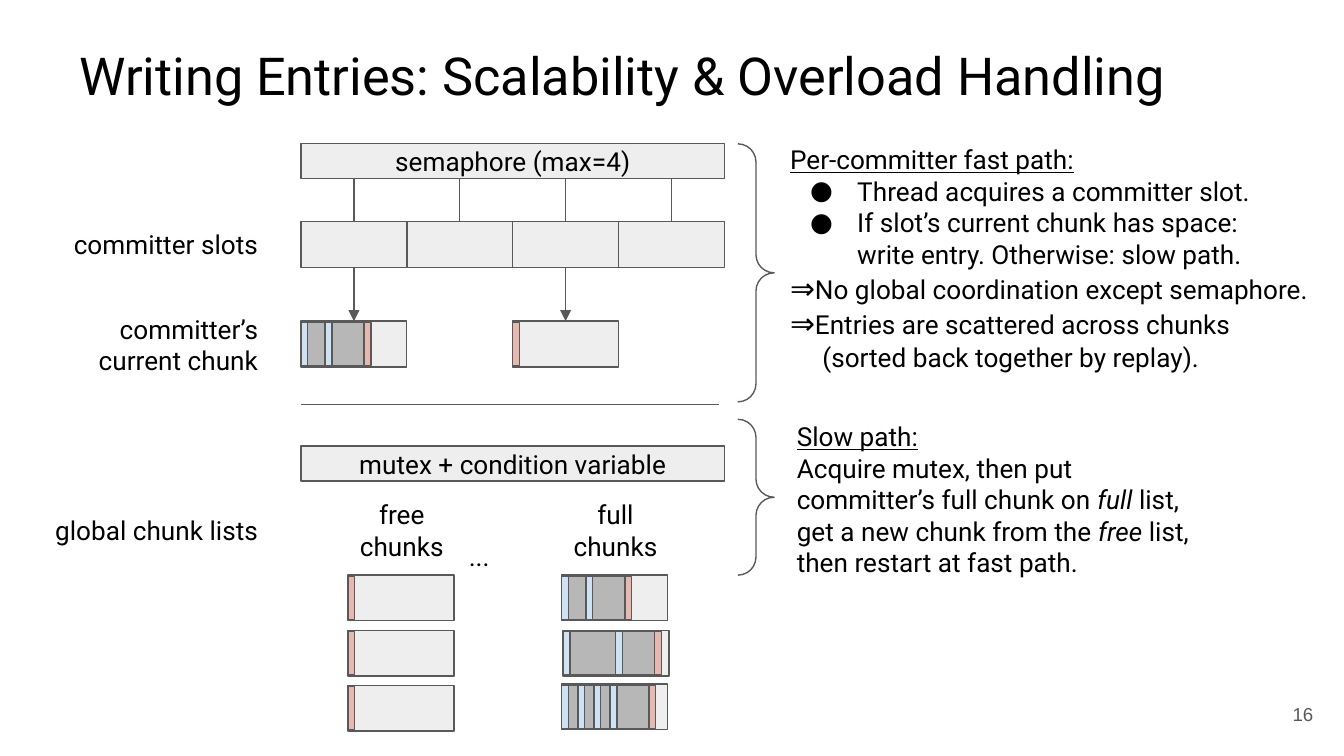
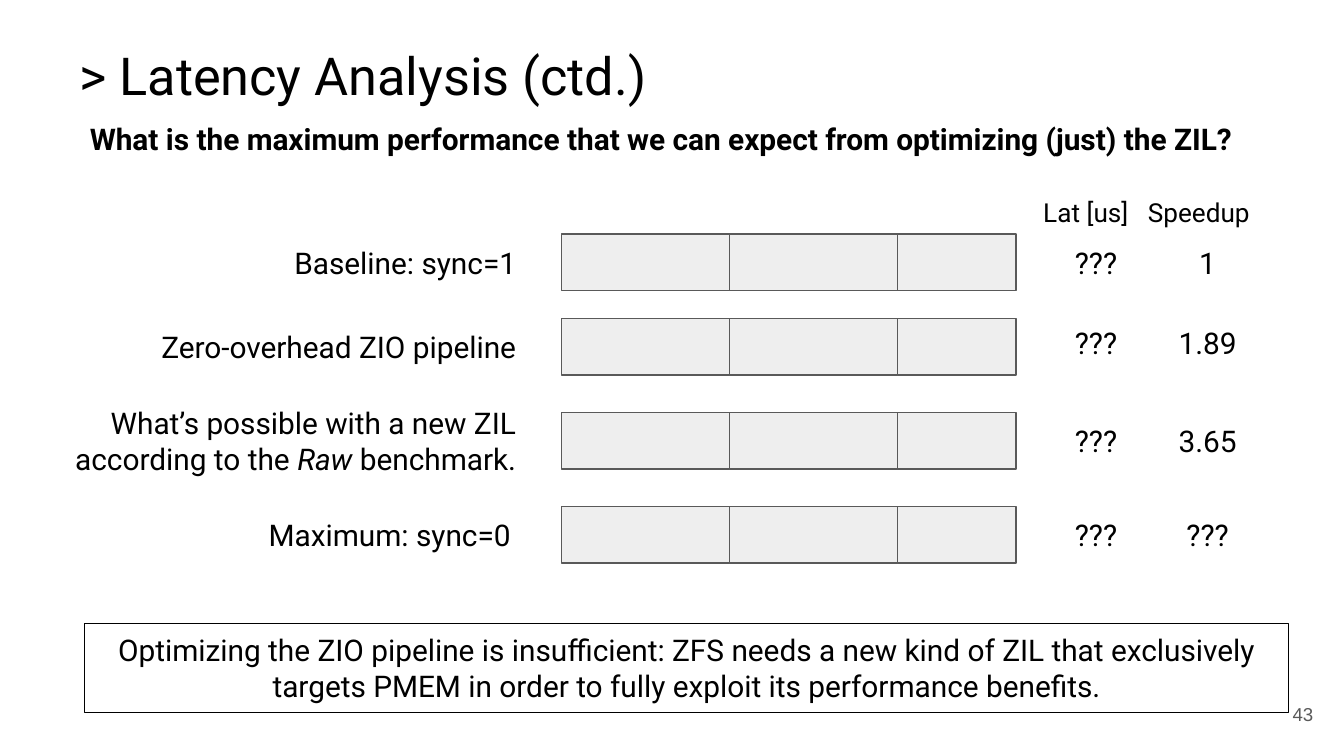
from lxml.etree import SubElement
from pptx import Presentation
from pptx.dml.color import RGBColor
from pptx.enum.shapes import MSO_CONNECTOR as Line, MSO_SHAPE as Shape
from pptx.enum.text import MSO_ANCHOR as Anchor, MSO_AUTO_SIZE as AutoSize, PP_ALIGN as Align
from pptx.oxml import parse_xml
from pptx.oxml.ns import nsdecls, qn
from pptx.util import Inches, Pt

COLORS = {"text": "000000", "line": "595959", "box": "EEEEEE",
          "header": "CFE2F3", "data": "B7B7B7", "end": "E6B8AF"}
ITALIC = {"italic": True}
UNDERLINE = {"underline": True}
ARROW = {"size": Pt(16)}


def write(box, paragraphs, size=14, align=Align.CENTER, anchor=Anchor.MIDDLE,
          after=None, bold=False, font="Roboto", color="text"):
    frame = box.text_frame
    frame.auto_size = AutoSize.NONE
    frame.word_wrap = True
    frame.vertical_anchor = anchor
    frame.margin_left = frame.margin_right = Inches(0.1)
    frame.margin_top = frame.margin_bottom = Inches(0.1)
    for index, spans in enumerate(paragraphs):
        para = frame.add_paragraph() if index else frame.paragraphs[0]
        para.alignment = align
        if after:
            para.space_after = Pt(after)
        para.font.size = Pt(size)
        para.font.name = font
        para.font.bold = bold
        para.font.color.rgb = RGBColor.from_string(COLORS[color])
        for text, style in [(spans, {})] if isinstance(spans, str) else spans:
            if text == "\n":
                para.add_line_break()
                continue
            span = para.add_run()
            span.text = text
            for name, value in style.items():
                setattr(span.font, name, value)


def draw(page, left, top, width, height, fill="box", line="line", kind=Shape.RECTANGLE):
    shape = page.shapes.add_shape(kind, *map(Inches, (left, top, width, height)))
    shape.shadow.inherit = False
    shape.line.color.rgb = RGBColor.from_string(COLORS[line])
    shape.line.width = Pt(0.75)
    if fill:
        shape.fill.solid()
        shape.fill.fore_color.rgb = RGBColor.from_string(COLORS[fill])
    else:
        shape.fill.background()
    return shape


deck = Presentation()
deck.slide_width = Inches(10)
deck.slide_height = deck.slide_width * 9 // 16
pages = []
for heading, width, number in [
    ("Writing Entries: Scalability & Overload Handling", 8.78, "16"),
    ("> Latency Analysis (ctd.)", 8.93, "43"),
]:
    page = deck.slides.add_slide(deck.slide_layouts[5])
    title = page.shapes.title
    title.left, title.top, title.width, title.height = map(Inches, (0.49, 0.22, width, 0.88))
    write(title, [heading], 28, Align.LEFT, Anchor.TOP)
    box = page.shapes.add_textbox(*map(Inches, (9.27, 5.1, 0.6, 0.43)))
    write(box, [number], 10, Align.RIGHT, font="Arial", color="line")
    pages.append(page)
writing, latency = pages

LEFT, WIDTH, SLOTS = 2.24, 3.15, 4
SLOT = WIDTH / SLOTS
CHUNK_HEIGHT, MARK = 0.34, 0.05

for top, text in [(1.07, "semaphore (max=4)"), (3.32, "mutex + condition variable")]:
    write(draw(writing, LEFT, top, WIDTH, 0.26), [text])
slots = [draw(writing, LEFT + SLOT * column, 1.65, SLOT, CHUNK_HEIGHT) for column in range(SLOTS)]

chunks = []
for left, top, entries in [
    (LEFT, 2.39, [0.13, 0.24]),
    (LEFT + 2 * SLOT, 2.39, []),
    (2.59, 4.28, []),
    (2.59, 4.69, []),
    (2.59, 5.1, []),
    (4.18, 4.28, [0.13, 0.24]),
    (4.19, 4.69, [0.34, 0.24]),
    (4.18, 5.09, [0.07, 0.07, 0.07, 0.24]),
]:
    chunks.append(draw(writing, left, top, SLOT, CHUNK_HEIGHT))
    parts = [part for entry in entries for part in (("header", MARK), ("data", entry))]
    for fill, width in parts + [("end", MARK)]:
        draw(writing, left, top + 0.01, width, 0.32, fill)
        left += width

links = []
for column, slot in enumerate(slots):
    middle = LEFT + SLOT * (column + 0.5)
    link = writing.shapes.add_connector(Line.STRAIGHT, *map(Inches, (middle, 1.65, middle, 1.33)))
    link.begin_connect(slot, 0)
    links.append(link)
links.append(writing.shapes.add_connector(Line.STRAIGHT, *map(Inches, (LEFT, 3.01, 5.35, 3.01))))
for slot, chunk in [(slots[0], chunks[0]), (slots[2], chunks[1])]:
    link = writing.shapes.add_connector(Line.STRAIGHT, 0, 0, 0, 0)
    link.begin_connect(slot, 2)
    link.end_connect(chunk, 0)
    links.append(link)
for link in links:
    link.line.color.rgb = RGBColor.from_string(COLORS["line"])
    link.line.width = Pt(0.75)
    if link in links[-2:]:
        SubElement(link.line._get_or_add_ln(), qn("a:tailEnd"), type="triangle")
    SubElement(link._element.spPr, qn("a:effectLst"))

for top, height in [(1.07, 1.92), (3.12, 1.16)]:
    brace = draw(writing, 5.49, top, 0.27, height, None, kind=Shape.RIGHT_BRACE)
    brace.adjustments[0] = brace.adjustments[1] = 0.5

for left, top, width, height, align, text in [
    (0.38, 1.6, 1.64, 0.43, Align.RIGHT, "committer slots"),
    (0.38, 2.35, 1.64, 0.43, Align.RIGHT, "committer’s current chunk"),
    (0.17, 3.73, 1.85, 0.43, Align.RIGHT, "global chunk lists"),
    (2.46, 3.73, 1.06, 0.43, Align.CENTER, "free chunks"),
    (4.05, 3.73, 1.06, 0.43, Align.CENTER, "full chunks"),
    (3.17, 4.05, 0.79, 0.17, Align.CENTER, "..."),
]:
    box = writing.shapes.add_textbox(*map(Inches, (left, top, width, height)))
    write(box, [text], align=align)

fast = writing.shapes.add_textbox(*map(Inches, (5.78, 1.06, 4.09, 1.72)))
write(fast, [
    [("Per-committer fast path:", UNDERLINE)],
    "Thread acquires a committer slot.",
    [("If slot’s current chunk has space:", {}), ("\n", {}),
     ("write entry. Otherwise: slow path.", {})],
    [("⇒", ARROW), ("No global coordination except semaphore.", {})],
    [("⇒", ARROW), ("Entries are scattered across chunks", {}), ("\n", {}),
     ("(sorted back together by replay).", {})],
], align=Align.LEFT)
for index, indent, hanging in [(1, 0.5, 0.35), (2, 0.5, 0.35), (4, 0.24, 0.24)]:
    settings = fast.text_frame.paragraphs[index]._p.get_or_add_pPr()
    settings.set("marL", str(Inches(indent)))
    settings.set("indent", str(-Inches(hanging)))
    if index < 3:
        settings.insert(0, parse_xml(f'<a:buFont {nsdecls("a")} typeface="Roboto"/>'))
        settings.insert(1, parse_xml(f'<a:buChar {nsdecls("a")} char="●"/>'))

slow = writing.shapes.add_textbox(*map(Inches, (5.83, 3.1, 3.19, 1.23)))
write(slow, [
    [("Slow path:", UNDERLINE), ("\n", {}),
     ("Acquire mutex, then put committer’s full chunk on ", {}), ("full", ITALIC),
     (" list, get a new chunk from the ", {}), ("free", ITALIC), (" list,", {})],
    "then restart at fast path.",
], align=Align.LEFT)

question = latency.shapes.add_textbox(*map(Inches, (0.57, 0.8, 8.84, 0.55)))
write(question, ["What is the maximum performance that we can expect from optimizing (just) the ZIL?"],
      16, Align.LEFT, Anchor.TOP, after=6, bold=True)

for left, width, text in [(7.58, 1, "Lat [us]"), (8.4, 1.04, "Speedup")]:
    box = latency.shapes.add_textbox(*map(Inches, (left, 1.42, width, 0.32)))
    write(box, [text], after=6)

BAR_HEIGHT = 0.42
raw = [("What’s possible with a new ZIL according to the ", {}), ("Raw", ITALIC), (" benchmark.", {})]
for bar_top, value_top, label, label_width, label_height, speedup in [
    (1.74, 1.74, "Baseline: sync=1", 3.8, 0.55, "1"),
    (2.37, 2.34, "Zero-overhead ZIO pipeline", 3.8, 0.55, "1.89"),
    (3.07, 3.07, raw, 3.8, 0.66, "3.65"),
    (3.77, 3.77, "Maximum: sync=0", 3.76, 0.32, "???"),
]:
    label_top = bar_top + (BAR_HEIGHT - label_height) / 2
    box = latency.shapes.add_textbox(*map(Inches, (0.14, label_top, label_width, label_height)))
    write(box, [label], 16, Align.RIGHT, after=6)
    for left, width in [(4.18, 1.25), (5.43, 1.25), (6.68, 0.88)]:
        draw(latency, left, bar_top, width, BAR_HEIGHT)
    for left, width, text in [(7.83, 0.65, "???"), (8.36, 1.25, speedup)]:
        box = latency.shapes.add_textbox(*map(Inches, (left, value_top, width, BAR_HEIGHT)))
        write(box, [text], 16, after=6)

conclusion = draw(latency, 0.63, 4.64, 8.96, 0.66, None, "text")
write(conclusion, ["Optimizing the ZIO pipeline is insufficient: ZFS needs a new kind of ZIL that "
                   "exclusively targets PMEM in order to fully exploit its performance benefits."],
      16, after=6)

deck.save("out.pptx")
